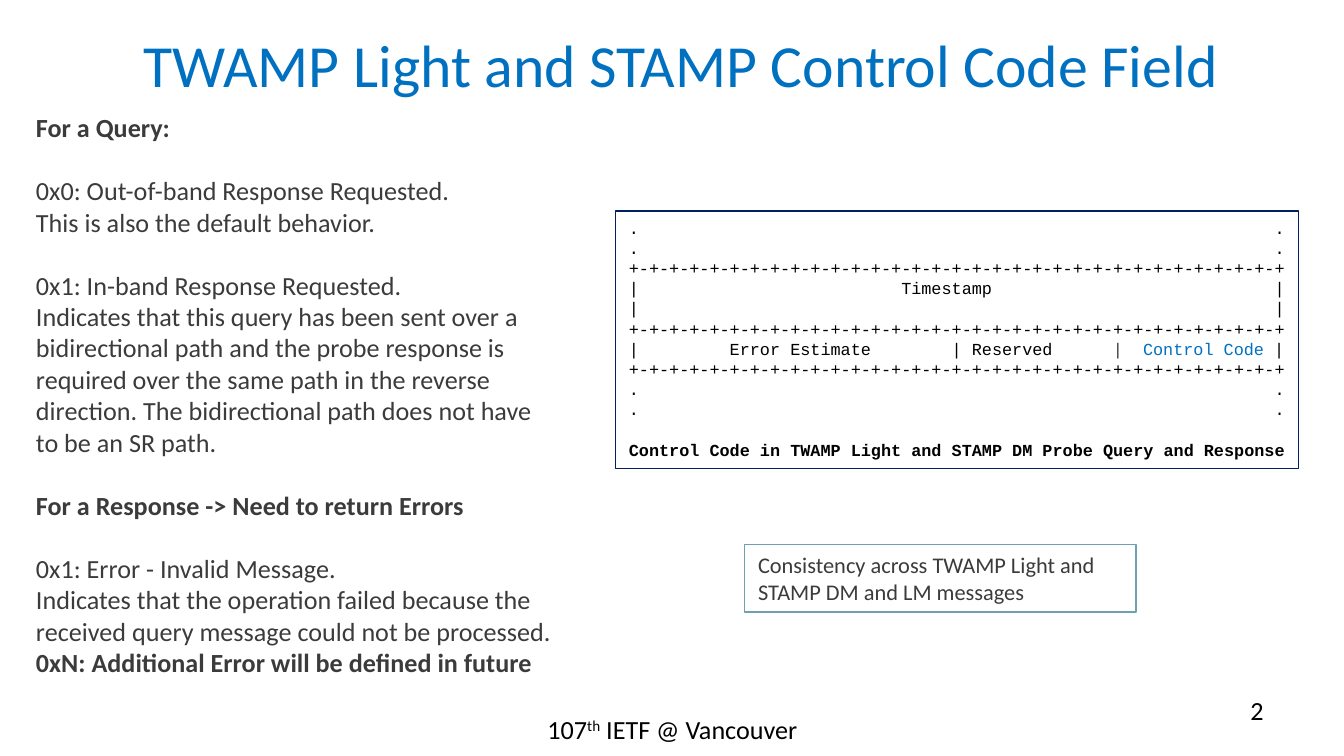
"""Build the slide on the TWAMP Light and STAMP control code field."""
from pptx import Presentation
from pptx.dml.color import RGBColor
from pptx.enum.shapes import MSO_SHAPE
from pptx.enum.text import MSO_ANCHOR, PP_ALIGN
from pptx.util import Pt

RECT = MSO_SHAPE.RECTANGLE
TOP, MIDDLE = MSO_ANCHOR.TOP, MSO_ANCHOR.MIDDLE
LEFT, CENTER, RIGHT = PP_ALIGN.LEFT, PP_ALIGN.CENTER, PP_ALIGN.RIGHT
BLACK, GREY, BLUE = "000000", "3B3B3B", "0070C0"


def rgb(color):
    """Turn a hex string into a colour."""
    return RGBColor.from_string(color)


def add_text(box, lines, size, color, font="Calibri", align=LEFT, line=None):
    """Fill a shape with paragraphs of (runs, bold, space before)."""
    if line:
        box.shadow.inherit = False
        box.fill.background()
        box.line.color.rgb = rgb(line)
        box.line.width = Pt(0.75)
    tf = box.text_frame
    tf.word_wrap = True
    tf.vertical_anchor = TOP
    for i, (runs, bold, gap) in enumerate(lines):
        p = tf.paragraphs[0] if i == 0 else tf.add_paragraph()
        p.alignment = align
        p.space_before = Pt(gap)
        p.font.name = font
        p.font.size = Pt(size)
        p.font.bold = bold
        p.font.color.rgb = rgb(color)
        for text in runs:
            p.add_run().text = text
    return tf


prs = Presentation()
prs.slide_width, prs.slide_height = Pt(720), Pt(405)
s = prs.slides.add_slide(prs.slide_layouts[5])

title = s.shapes.title
title.left, title.top, title.width, title.height = Pt(23), Pt(0), Pt(684), Pt(68)
title.text_frame.text = "TWAMP Light and STAMP Control Code Field"
title.text_frame.vertical_anchor = MIDDLE
p = title.text_frame.paragraphs[0]
p.alignment = CENTER
p.font.name = "Calibri"
p.font.size = Pt(32)
p.font.color.rgb = rgb(BLUE)

footer = s.shapes.add_textbox(Pt(246.2), Pt(378.7), Pt(228.2), Pt(28))
tf = add_text(footer, [(["107", "th", " IETF @ Vancouver"], False, 0)], 14, BLACK, align=CENTER)
tf.paragraphs[0].runs[1].font._element.set("baseline", "30000")

number = s.shapes.add_textbox(Pt(516.2), Pt(368.6), Pt(167.8), Pt(28))
add_text(number, [(["2"], False, 0)], 14, BLACK, align=RIGHT)

rule = "+-" * 32 + "+"
dots = f"{'.':<64}."
fields = [f"|{'Error Estimate':>23}{'|':>9}{' Reserved':<15}", "|", f"{'Control Code':>14} ", "|"]
rows = [dots, dots, rule, f"|{'Timestamp':>35}{'|':>29}", f"{'|':<64}|", rule, fields, rule, dots, dots]
lines = [(row if row is fields else [row], False, 0) for row in rows]
lines.append((["Control Code in TWAMP Light and STAMP DM Probe Query and Response"], True, 10.8))
packet = s.shapes.add_shape(RECT, Pt(329.8), Pt(113), Pt(365.8), Pt(138.2))
tf = add_text(packet, lines, 9, BLACK, "Courier New", line="002060")
for p in tf.paragraphs:
    p.line_spacing = Pt(10.8)
for r, color in zip(tf.paragraphs[rows.index(fields)].runs[1:3], (GREY, BLUE)):
    r.font.color.rgb = rgb(color)

codes = [
    ("For a Query:", True, 0),
    ("0x0: Out-of-band Response Requested.", False, 17),
    ("This is also the default behavior.", False, 0),
    ("0x1: In-band Response Requested.", False, 17),
    ("Indicates that this query has been sent over a bidirectional path and the probe "
     "response is required over the same path in the reverse direction. "
     "The bidirectional path does not have to be an SR path.", False, 0),
    ("For a Response -> Need to return Errors", True, 17),
    ("0x1: Error - Invalid Message.", False, 17),
    ("Indicates that the operation failed because the received query message "
     "could not be processed.", False, 0),
    ("0xN: Additional Error will be defined in future", True, 0),
]
body = s.shapes.add_textbox(Pt(12.2), Pt(56.2), Pt(293.8), Pt(312.5))
add_text(body, [([text], bold, gap) for text, bold, gap in codes], 14, GREY)

note = s.shapes.add_shape(RECT, Pt(399), Pt(291.6), Pt(209.5), Pt(36.3))
message = "Consistency across TWAMP Light and STAMP DM and LM messages"
add_text(note, [([message], False, 0)], 12, GREY, line="6EA0B0")

prs.save("out.pptx")
